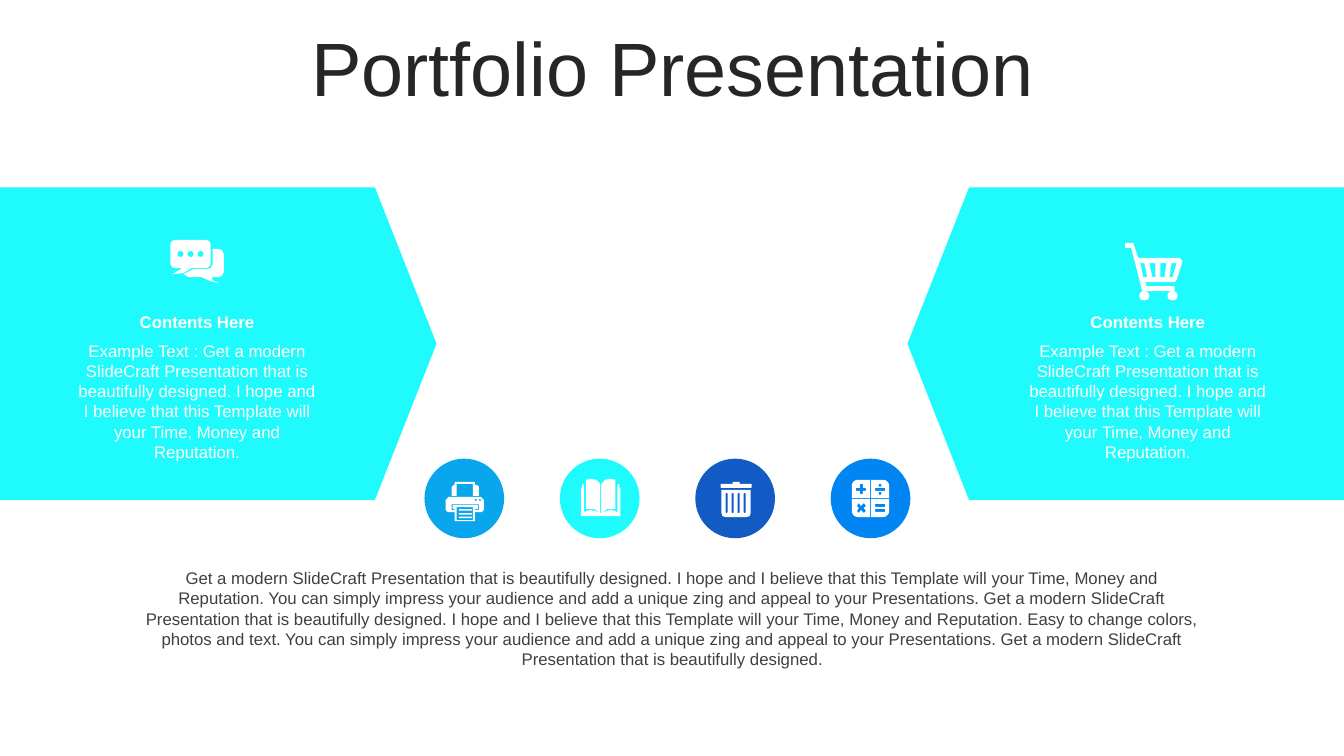
from math import cos, pi, sin

from pptx import Presentation
from pptx.dml.color import RGBColor
from pptx.enum.shapes import MSO_SHAPE
from pptx.enum.text import MSO_ANCHOR, PP_ALIGN
from pptx.util import Inches, Pt

PENTAGON, OVAL = MSO_SHAPE.PENTAGON, MSO_SHAPE.OVAL
TOP, MIDDLE = MSO_ANCHOR.TOP, MSO_ANCHOR.MIDDLE
FONT = "Arial"
COLORS = {
    "title": "262626", "body": "404040", "white": "FFFFFF",
    "cyan": "1FFBFD", "sky": "0AA6ED", "navy": "125AC4", "blue": "0085F2",
}

TITLE = "Portfolio Presentation"
HEADING = "Contents Here"
EXAMPLE = ("Example Text : Get a modern SlideCraft Presentation that is beautifully "
           "designed. I hope and I believe that this Template will your Time, Money "
           "and Reputation.")
SUMMARY = ("Get a modern SlideCraft Presentation that is beautifully designed. I hope "
           "and I believe that this Template will your Time, Money and Reputation. You "
           "can simply impress your audience and add a unique zing and appeal to your "
           "Presentations. Get a modern SlideCraft Presentation that is beautifully "
           "designed. I hope and I believe that this Template will your Time, Money and "
           "Reputation. Easy to change colors, photos and text. You can simply impress "
           "your audience and add a unique zing and appeal to your Presentations. Get a "
           "modern SlideCraft Presentation that is beautifully designed.")


def rounded(left, top, right, bottom, radius=0):
    """Outline of a rectangle; a radius of half its side makes a circle."""
    if not radius:
        return [(left, top), (right, top), (right, bottom), (left, bottom)]
    centers = [(right - radius, bottom - radius), (left + radius, bottom - radius),
               (left + radius, top + radius), (right - radius, top + radius)]
    return [(x + radius * cos((quarter + step / 6) * pi / 2),
             y + radius * sin((quarter + step / 6) * pi / 2))
            for quarter, (x, y) in enumerate(centers) for step in range(7)]


# Icon outlines in hundredths of an inch; an outline inside another is a hole.
CHAT = [
    rounded(0, 0, 40, 28, 5),
    [(12, 28), (21, 28), (13, 33), (2, 34)],
    [(42, 9), (47, 9), (51, 10), (53, 14), (53, 32), (51, 36), (47, 37), (41, 37),
     (42, 40), (48, 43), (40, 41), (31, 37), (18, 37), (13, 34), (23, 29), (36, 29),
     (40, 28), (42, 24)],
    *[rounded(x, 11, x + 6, 17, 3) for x in (7, 17, 27)],
]
CART = [
    [(0, 0), (8, 0), (13, 15), (54, 15), (57, 18), (51, 37), (49, 39), (20, 39),
     (21, 43), (49, 43), (49, 48), (17, 48), (6, 5), (0, 5)],
    [(15, 20), (19, 20), (22, 34), (18, 34)],
    [(24, 20), (30, 20), (30, 34), (27, 34)],
    [(35, 20), (41, 20), (39, 34), (35, 34)],
    [(46, 20), (51, 20), (47, 34), (44, 34)],
    *[rounded(x, 48, x + 10, 57, 4.5) for x in (14, 42)],
]
PRINTER = [
    [(3, 15), (35, 15), (38, 18), (38, 28), (36, 30), (29, 30), (29, 39), (9, 39),
     (9, 30), (2, 30), (0, 28), (0, 18)],
    [(9, 0), (29, 0), (29, 3), (31, 3), (33, 5), (33, 14), (27, 14), (27, 2),
     (11, 2), (11, 14), (6, 14), (6, 5), (8, 3), (9, 3)],
    [(6, 22), (33, 22), (33, 28), (29, 28), (29, 27), (32, 27), (32, 23), (7, 23),
     (7, 27), (9, 27), (9, 28), (6, 28)],
    rounded(11, 25, 27, 38),
    *[rounded(13, y, 26, y + 1.5) for y in (27, 31, 34.5)],
    *[rounded(x, 17, x + 2, 19, 1) for x in (29, 33)],
]
LEFT_PAGE = [(5, 1), (10, 0), (15, 1), (19, 5), (19, 34), (13, 30), (5, 30)]
LEFT_COVER = [(0, 37), (0, 9), (1, 9), (1, 5), (3, 6), (3, 33), (9, 31), (14, 32),
              (19, 34)]


def mirrored(points, width=39):
    return [(width - x, y) for x, y in reversed(points)]


BOOK = [LEFT_PAGE, mirrored(LEFT_PAGE), LEFT_COVER + mirrored(LEFT_COVER)]
TRASH = [
    rounded(12, 0, 19, 2), rounded(0, 2, 31, 6, 1),
    [(1, 8), (30, 8), (30, 31), (29, 34), (26, 35), (5, 35), (2, 34), (1, 31)],
    *[rounded(x, 11, x + 2, 31, 1) for x in (5, 11, 17, 23)],
]
CALCULATOR = [
    rounded(0, 0, 37, 37, 6),
    rounded(18, 0, 19, 37), rounded(0, 18, 18, 19), rounded(19, 18, 37, 19),
    [(8, 4), (11, 4), (11, 8), (14, 8), (14, 11), (11, 11), (11, 14), (8, 14),
     (8, 11), (4, 11), (4, 8), (8, 8)],
    [(7, 23), (5, 26), (7, 28), (5, 31), (7, 33), (9, 30), (12, 33), (14, 31),
     (12, 28), (14, 26), (12, 23), (9, 26)],
    *[rounded(23, y, 33, y + 3) for y in (8, 24, 29)],
    *[rounded(26.5, y, 29.5, y + 3, 1.5) for y in (4, 12)],
]

WIDTH, HEIGHT = 13.33, 7.5
PANEL_TOP, PANEL_WIDTH, PANEL_HEIGHT = 1.86, 4.33, 3.1
# panel left, rotation, text left, icon outlines, icon left, icon top
PANELS = [
    (0, 0, 0.65, CHAT, 1.69, 2.38),
    (WIDTH - PANEL_WIDTH, 180, 10.08, CART, 11.16, 2.41),
]
DISC_LEFT, DISC_TOP, DISC_SIZE, DISC_STEP = 4.21, 4.55, 0.79, 1.343
# color, icon outlines, icon offset inside the disc
DISCS = [
    ("sky", PRINTER, 0.21, 0.23),
    ("cyan", BOOK, 0.21, 0.2),
    ("navy", TRASH, 0.25, 0.23),
    ("blue", CALCULATOR, 0.21, 0.21),
]


def paint(shape, color):
    shape.fill.solid()
    shape.fill.fore_color.rgb = RGBColor.from_string(COLORS[color])
    shape.line.fill.background()
    shape.shadow.inherit = False


def add_preset(page, kind, left, top, width, height, color):
    shape = page.shapes.add_shape(kind, *map(Inches, (left, top, width, height)))
    paint(shape, color)
    return shape


def add_icon(page, outlines, left, top):
    detail = 10
    first, *others = [[(x * detail, y * detail) for x, y in line] for line in outlines]
    builder = page.shapes.build_freeform(*first[0], scale=Inches(0.01) / detail)
    builder.add_line_segments(first[1:])
    for outline in others:
        builder.move_to(*outline[0])
        builder.add_line_segments(outline[1:])
    paint(builder.convert_to_shape(Inches(left), Inches(top)), "white")


def write(box, text, size, color, bold=False, anchor=TOP):
    frame = box.text_frame
    frame.word_wrap = True
    frame.vertical_anchor = anchor
    para = frame.paragraphs[0]
    para.text = text
    para.alignment = PP_ALIGN.CENTER
    font = para.font
    font.name, font.size, font.bold = FONT, Pt(size), bold
    font.color.rgb = RGBColor.from_string(COLORS[color])
    return frame


def add_text(page, left, top, width, height, *content, **style):
    box = page.shapes.add_textbox(*map(Inches, (left, top, width, height)))
    return write(box, *content, **style)


def main():
    deck = Presentation()
    deck.slide_width, deck.slide_height = Inches(WIDTH), Inches(HEIGHT)
    page = deck.slides.add_slide(deck.slide_layouts[5])

    title = page.shapes.title
    title.left, title.top, title.width, title.height = map(
        Inches, (0.6, 0.35, 12.14, 0.72))
    write(title, TITLE, 54, "title", anchor=MIDDLE).paragraphs[0].line_spacing = 0.9

    for left, rotation, text_left, icon, icon_left, icon_top in PANELS:
        panel = add_preset(page, PENTAGON, left, PANEL_TOP, PANEL_WIDTH,
                           PANEL_HEIGHT, "cyan")
        panel.adjustments[0] = 0.197
        panel.rotation = rotation
        add_text(page, text_left, 3.04, 2.61, 0.3, HEADING, 12, "white", bold=True)
        add_text(page, text_left, 3.33, 2.61, 1.31, EXAMPLE, 12, "white")
        add_icon(page, icon, icon_left, icon_top)

    for column, (color, icon, inset_x, inset_y) in enumerate(DISCS):
        left = DISC_LEFT + column * DISC_STEP
        add_preset(page, OVAL, left, DISC_TOP, DISC_SIZE, DISC_SIZE, color)
        add_icon(page, icon, left + inset_x, DISC_TOP + inset_y)

    frame = add_text(page, 1.44, 5.63, 10.46, 1.01, SUMMARY, 12, "body", anchor=MIDDLE)
    frame.margin_left = frame.margin_right = frame.margin_top = frame.margin_bottom = 0

    deck.save("out.pptx")


if __name__ == "__main__":
    main()
